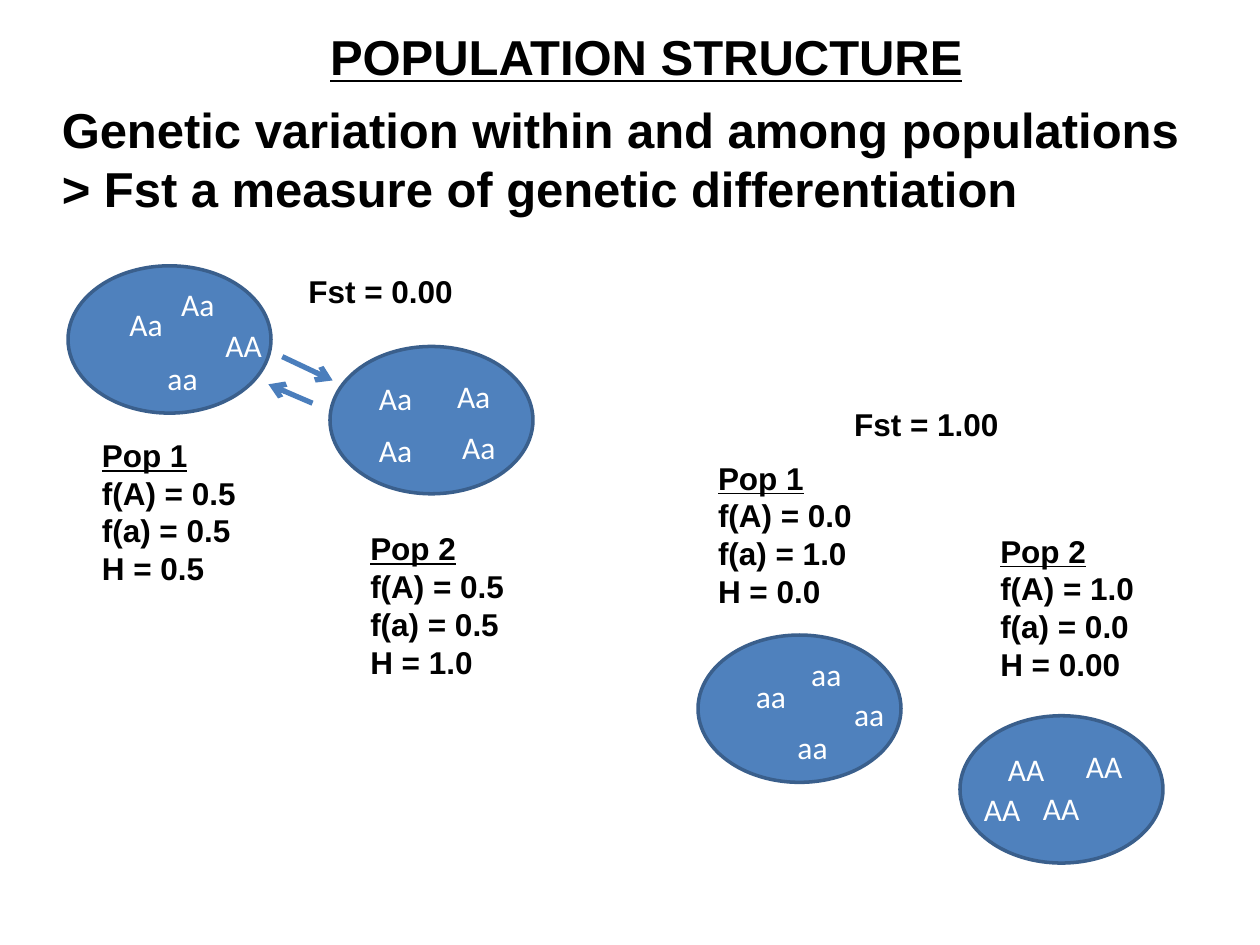
"""Build a slide on population structure and the Fst measure."""
from lxml import etree
from pptx import Presentation
from pptx.dml import color
from pptx.enum import shapes, text
from pptx.oxml import ns
from pptx.util import Pt

COLORS = {"ink": "000000", "allele": "FFFFFF", "fill": "4F81BD", "edge": "3A5F8C", "arrow": "4B7EBC"}
ALLELE_WIDTHS = {"Aa": 33.8, "AA": 35.3, "aa": 31.7}


class SlideBuilder:
    """Holds the style and the current slide."""

    def __init__(self, page):
        self.page = page

    def rgb(self, name):
        return color.RGBColor.from_string(COLORS[name])

    def place(self, box, left, top, width, height):
        box.left, box.top, box.width, box.height = map(Pt, (left, top, width, height))

    def set_text(self, box, lines, size, font="Arial", ink="ink", bold=True,
                 underline_first=False, wrap=False, drop_bullets=False):
        frame = box.text_frame
        frame.text = "\n".join(lines)
        frame.auto_size = text.MSO_AUTO_SIZE.NONE
        frame.word_wrap = wrap
        for index, para in enumerate(frame.paragraphs):
            para.alignment = text.PP_ALIGN.LEFT
            para.space_before = Pt(0)
            if drop_bullets:
                properties = para._p.get_or_add_pPr()
                properties.set("marL", "0")
                properties.set("indent", "0")
                etree.SubElement(properties, ns.qn("a:buNone"))
            para.font.name = font
            para.font.size = Pt(size)
            para.font.bold = bold
            para.font.underline = underline_first and index == 0
            para.font.color.rgb = self.rgb(ink)

    def title(self, line, *bounds):
        box = self.page.shapes.title
        self.place(box, *bounds)
        self.set_text(box, [line], 28, underline_first=True)

    def body(self, lines, *bounds):
        box = self.page.placeholders[1]
        self.place(box, *bounds)
        self.set_text(box, lines, 28, wrap=True, drop_bullets=True)

    def label(self, lines, *bounds):
        box = self.page.shapes.add_textbox(*map(Pt, bounds))
        self.set_text(box, lines, 18, underline_first=len(lines) > 1)

    def group(self):
        return self.page.shapes.add_group_shape()

    def population(self, group, left, top, alleles):
        oval = group.shapes.add_shape(shapes.MSO_SHAPE.OVAL, Pt(left), Pt(top), Pt(116), Pt(84.2))
        oval.shadow.inherit = False
        oval.fill.solid()
        oval.fill.fore_color.rgb = self.rgb("fill")
        oval.line.color.rgb = self.rgb("edge")
        oval.line.width = Pt(2)
        for name, across, down in alleles:
            box = group.shapes.add_textbox(
                Pt(left + across), Pt(top + down), Pt(ALLELE_WIDTHS[name]), Pt(28.8))
            self.set_text(box, [name], 18, "Calibri", "allele", bold=False)

    def arrow(self, group, *ends):
        connector = group.shapes.add_connector(shapes.MSO_CONNECTOR.STRAIGHT, *map(Pt, ends))
        connector.line.color.rgb = self.rgb("arrow")
        connector.line.width = Pt(3)
        outline = connector._element.spPr.find(ns.qn("a:ln"))
        etree.SubElement(outline, ns.qn("a:tailEnd"), type="arrow")
        etree.SubElement(connector._element.spPr, ns.qn("a:effectLst"))


def main():
    deck = Presentation()
    deck.slide_width, deck.slide_height = Pt(720), Pt(540)
    slide = SlideBuilder(deck.slides.add_slide(deck.slide_layouts[1]))

    slide.title("POPULATION STRUCTURE", 181.4, 11.5, 380.2, 41)
    slide.body(["Genetic variation within and among populations",
                "> Fst a measure of genetic differentiation"], 28.1, 53.3, 667.4, 74.9)

    mixing = slide.group()
    slide.population(mixing, 188.6, 198, [
        ("Aa", 20.9, 15.1), ("Aa", 65.5, 13.7), ("Aa", 20.9, 44.6), ("Aa", 68.4, 43.2)])
    slide.population(mixing, 38.9, 151.9, [
        ("Aa", 28, 18.7), ("AA", 82.8, 31), ("aa", 49.7, 49.7), ("Aa", 57.6, 7.2)])
    slide.arrow(mixing, 161.3, 203.8, 190.1, 217.4)
    slide.arrow(mixing, 178.6, 230.4, 153.4, 219.6)

    isolated = slide.group()
    slide.population(isolated, 548.6, 409, [
        ("AA", 20.2, 15.8), ("AA", 64.8, 14.4), ("AA", 40.3, 38.2), ("AA", 6.5, 38.9)])
    slide.population(isolated, 398.9, 362.9, [
        ("aa", 25.9, 20.2), ("aa", 82.1, 31), ("aa", 49.7, 49.7), ("aa", 57.6, 7.9)])

    for name, dominant, recessive, heterozygous, left, top in [
            ("Pop 1", "0.5", "0.5", "0.5", 51.1, 245.5),
            ("Pop 2", "0.5", "0.5", "1.0", 204.5, 298.8),
            ("Pop 1", "0.0", "1.0", "0.0", 403.2, 258.5),
            ("Pop 2", "1.0", "0.0", "0.00", 564.5, 300.2)]:
        slide.label([name, f"f(A) = {dominant}", f"f(a) = {recessive}", f"H = {heterozygous}"],
                    left, top, 92.2, 94.3)
    for value, left, top in [("0.00", 169.2, 151.9), ("1.00", 481, 228.2)]:
        slide.label([f"Fst = {value}"], left, top, 97.9, 28.8)

    deck.save("out.pptx")


if __name__ == "__main__":
    main()
